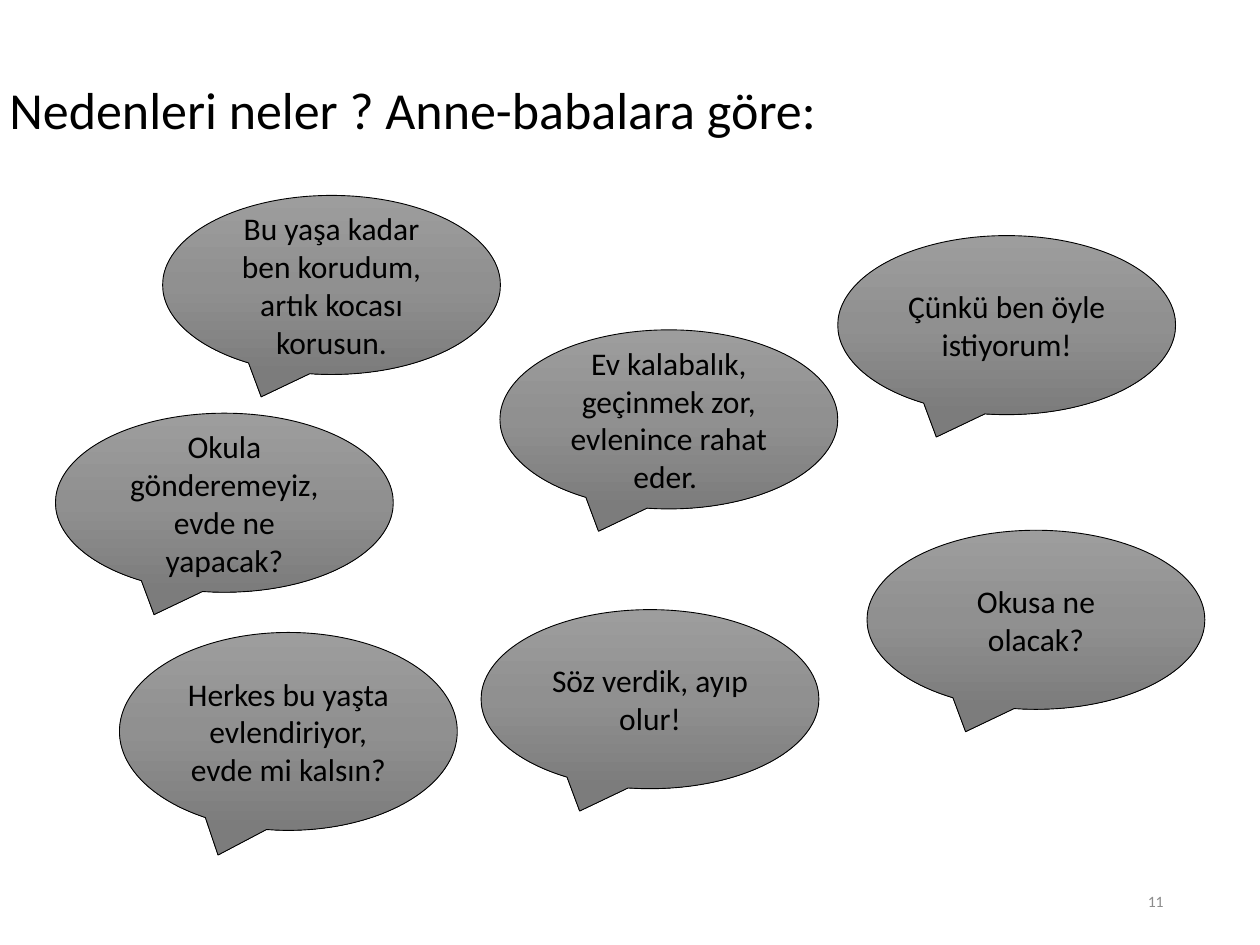
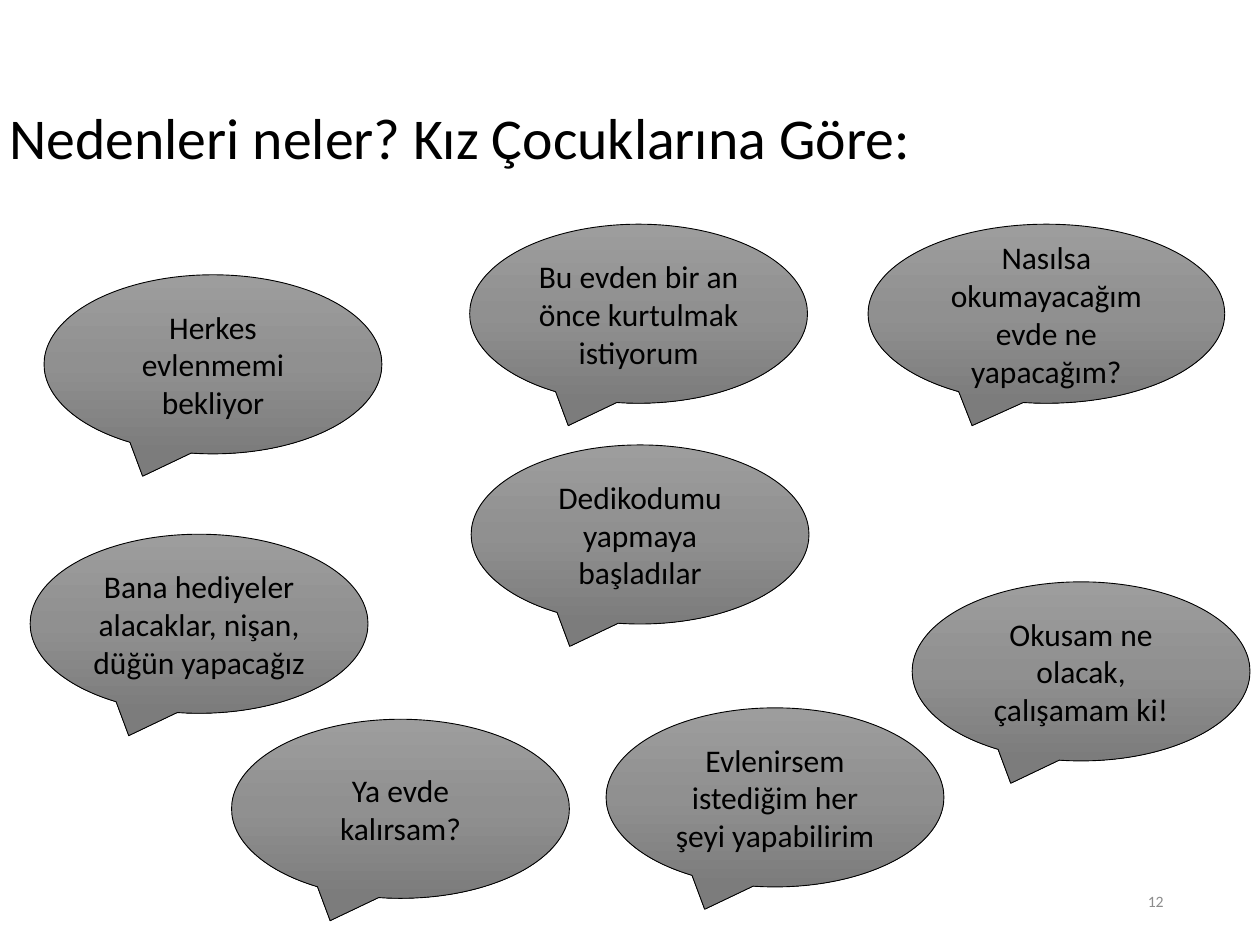
from copy import deepcopy

from pptx import Presentation
from pptx.dml.color import RGBColor
from pptx.enum.shapes import MSO_SHAPE
from pptx.enum.text import MSO_ANCHOR, PP_ALIGN
from pptx.oxml.ns import qn
from pptx.util import Cm, Pt

BLACK = RGBColor(0x00, 0x00, 0x00)
NUMBER_GREY = RGBColor(0x8C, 0x8C, 0x8C)
BUBBLE_SHADES = [
    (0, RGBColor(0x9D, 0x9D, 0x9D)),
    (0.5, RGBColor(0x90, 0x90, 0x90)),
    (1, RGBColor(0x7C, 0x7C, 0x7C)),
]

FONT_NAME = "Calibri"
TITLE_BOX = (0, 1.47, 22.86, 2.74)
NUMBER_BOX = (17.93, 17.65, 5.72, 1.02)
BUBBLE_WIDTH, BUBBLE_HEIGHT = 6.81, 3.61
SIDE_INSET, BUBBLE_INSET, EDGE_INSET = 0.19, 0.23, 0.13

PARENTS = {
    "title": "Nedenleri neler ? Anne-babalara göre:",
    "title_size": 29.7,
    "title_lift": 1.15,
    "number": "11",
    "bubbles": [
        ("Ev kalabalık, geçinmek zor, evlenince rahat eder. ", (10.08, 6.65)),
        ("Okula gönderemeyiz, evde ne yapacak?", (1.12, 8.33)),
        ("Bu yaşa kadar ben korudum, artık kocası korusun.", (3.28, 3.94)),
        ("Herkes bu yaşta evlendiriyor, evde mi kalsın?", (2.41, 12.75, BUBBLE_WIDTH, 3.99)),
        ("Çünkü ben öyle istiyorum!", (16.89, 4.75)),
        ("Söz verdik, ayıp olur!", (9.7, 12.29)),
        ("Okusa ne olacak?", (17.48, 10.69)),
    ],
}
GIRLS = {
    "title": "Nedenleri neler? Kız Çocuklarına Göre:",
    "title_size": 33,
    "title_lift": 0,
    "number": "12",
    "bubbles": [
        ("Herkes evlenmemi bekliyor", (0.89, 5.54)),
        ("Bu evden bir an önce kurtulmak istiyorum", (9.47, 4.52)),
        ("Nasılsa okumayacağım evde ne yapacağım?", (17.5, 4.52, 7.19, BUBBLE_HEIGHT)),
        ("Ya evde kalırsam?", (4.67, 14.5)),
        ("Okusam ne olacak, çalışamam ki!", (18.39, 11.73)),
        ("Bana hediyeler alacaklar, nişan, düğün yapacağız", (0.61, 10.77)),
        ("Dedikodumu yapmaya başladılar", (9.5, 8.97)),
        ("Evlenirsem istediğim her şeyi yapabilirim", (12.22, 14.27)),
    ],
}


def apply_format(target, values):
    for attribute, value in values.items():
        setattr(target, attribute, value)


def write_text(holder, text, size, color, alignment, side=SIDE_INSET, lift=0, spacing=1.0):
    frame = holder.text_frame
    apply_format(frame, {
        "word_wrap": True,
        "vertical_anchor": MSO_ANCHOR.MIDDLE,
        "margin_left": Cm(side),
        "margin_right": Cm(side),
        "margin_top": Cm(EDGE_INSET),
        "margin_bottom": Cm(EDGE_INSET + lift),
    })
    paragraph = frame.paragraphs[0]
    apply_format(paragraph, {"text": text, "alignment": alignment, "line_spacing": spacing})
    font = paragraph.runs[0].font
    apply_format(font, {"name": FONT_NAME, "size": Pt(size)})
    font.color.rgb = color


def add_title(slide, box, text, size, lift):
    title = slide.shapes.add_textbox(*map(Cm, box))
    write_text(title, text, size, BLACK, PP_ALIGN.LEFT, lift=lift, spacing=0.9)


def add_number(slide, box, text):
    number = slide.shapes.add_textbox(*map(Cm, box))
    write_text(number, text, 9, NUMBER_GREY, PP_ALIGN.RIGHT)


def shade_bubble(bubble):
    fill = bubble.fill
    fill.gradient()
    fill.gradient_angle = 270
    stops = bubble._element.spPr.find(qn("a:gradFill")).find(qn("a:gsLst"))
    stops.insert(1, deepcopy(stops[0]))
    for stop, (position, shade) in zip(fill.gradient_stops, BUBBLE_SHADES):
        stop.position = position
        stop.color.rgb = shade


def add_bubble(slide, text, left, top, width=BUBBLE_WIDTH, height=BUBBLE_HEIGHT):
    bubble = slide.shapes.add_shape(
        MSO_SHAPE.OVAL_CALLOUT, Cm(left), Cm(top), Cm(width), Cm(height))
    bubble.shadow.inherit = False
    shade_bubble(bubble)
    bubble.line.color.rgb = BLACK
    bubble.line.width = Pt(0.5)
    write_text(bubble, text, 18, BLACK, PP_ALIGN.CENTER, side=BUBBLE_INSET)


def add_reasons_slide(deck, reasons):
    slide = deck.slides.add_slide(deck.slide_layouts[6])
    add_title(slide, TITLE_BOX, reasons["title"], reasons["title_size"], reasons["title_lift"])
    for saying, box in reasons["bubbles"]:
        add_bubble(slide, saying, *box)
    add_number(slide, NUMBER_BOX, reasons["number"])


def main():
    deck = Presentation()
    apply_format(deck, {"slide_width": Cm(25.4), "slide_height": Cm(19.05)})
    for reasons in (PARENTS, GIRLS):
        add_reasons_slide(deck, reasons)
    deck.save("out.pptx")


if __name__ == "__main__":
    main()
